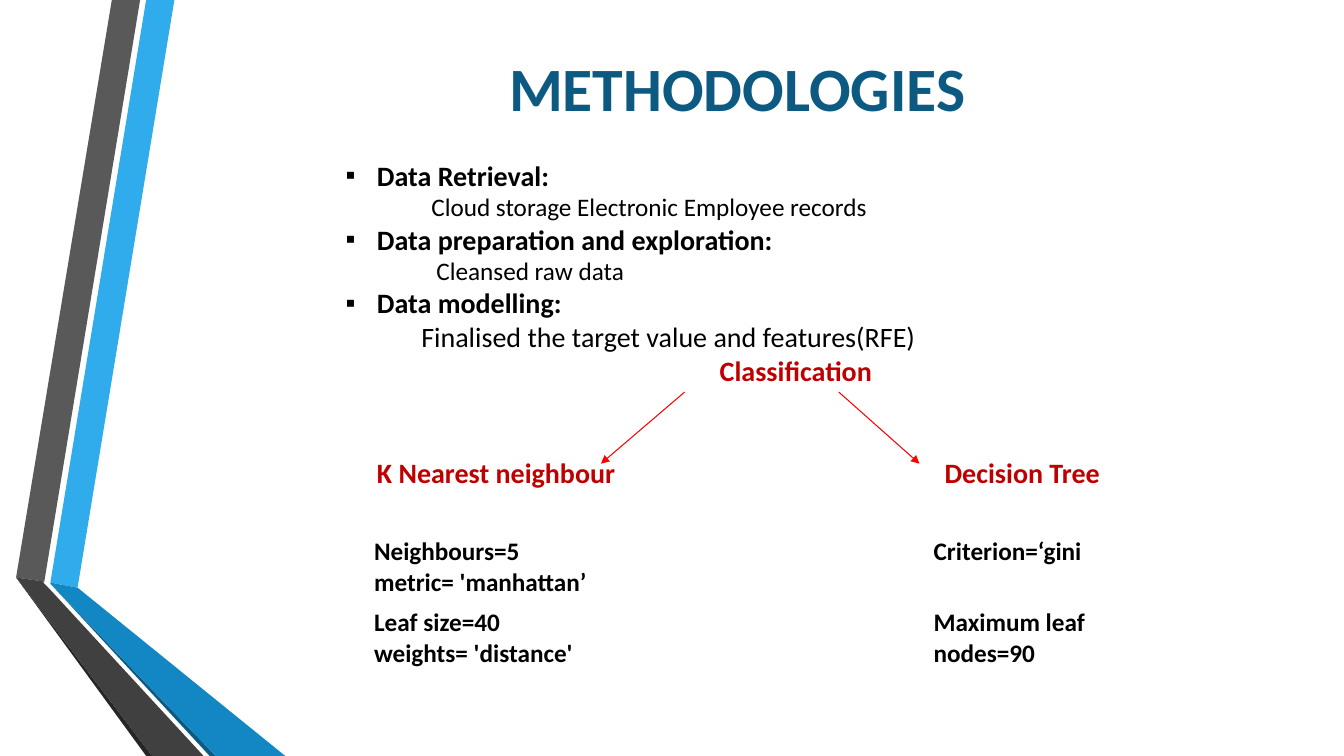
import pptx
import pptx.util
import pptx.dml.color
import pptx.enum.shapes
import pptx.oxml.ns
from lxml import etree

Inches = pptx.util.Inches
Pt = pptx.util.Pt
qn = pptx.oxml.ns.qn

COLORS = {
    "title": "0C5A82",
    "body": "000000",
    "model": "C00000",
    "arrow": "FF0000",
    "sky": "30ACEC",
    "blue": "1287C3",
    "navy": "0C5A82",
    "grey": "595959",
    "charcoal": "404040",
    "black": "262626",
}

RIBBONS = [
    ("sky", [(0.5, 5.78), (0.77, 5.83), (1.73, 0), (1.45, 0)]),
    ("grey", [(1.39, 0), (1.11, 0), (0.16, 5.73), (0.44, 5.77)]),
    ("black", [(0.16, 5.73), (1.45, 7.5), (1.51, 7.5)]),
    ("navy", [(0.5, 5.79), (2.08, 7.5), (2.14, 7.5)]),
    ("blue", [(0.5, 5.79), (2.14, 7.5), (2.83, 7.5), (0.77, 5.83), (0.5, 5.78)]),
    ("charcoal", [(2.02, 7.5), (0.48, 5.83), (0.43, 5.78), (0.44, 5.77),
                  (0.16, 5.73), (1.51, 7.5)]),
]

STEPS = [
    ("Data Retrieval:", dict(bold=True, bullet="▪")),
    ("Cloud storage Electronic Employee records", dict(size=18, indent=0.85)),
    ("Data preparation and exploration:", dict(bold=True, bullet="▪")),
    ("Cleansed raw data", dict(size=18, indent=0.9)),
    ("Data modelling:", dict(bold=True, bullet="▪")),
    ("Finalised the target value and features(RFE)", dict(indent=0.75)),
    ("Classification", dict(bold=True, color="model", indent=3.71)),
]

PARAMETERS = [
    (["Neighbours=5", "metric= 'manhattan’"], ["Criterion=‘gini"]),
    (["Leaf size=40", "weights= 'distance'"], ["Maximum leaf nodes=90"]),
]


def rgb(name):
    return pptx.dml.color.RGBColor.from_string(COLORS[name])


def write(frame, text, first=False, size=20, bold=False, color="body",
          indent=0, bullet=None):
    line = frame.paragraphs[0] if first else frame.add_paragraph()
    run = line.add_run()
    run.text = text
    run.font.name = "Calibri"
    run.font.size = Pt(size)
    run.font.bold = bold
    run.font.color.rgb = rgb(color)
    layout = line._p.get_or_add_pPr()
    if bullet:
        layout.set("marL", str(Inches(0.31)))
        layout.set("indent", str(-Inches(0.31)))
        etree.SubElement(layout, qn("a:buFont")).set("typeface", "Arial")
        etree.SubElement(layout, qn("a:buChar")).set("char", bullet)
    elif indent:
        layout.set("marL", str(Inches(indent)))
        layout.set("indent", "0")


def add_text(slide, left, top, width, height, lines):
    frame = slide.shapes.add_textbox(
        Inches(left), Inches(top), Inches(width), Inches(height)).text_frame
    frame.word_wrap = True
    for index, (text, style) in enumerate(lines):
        write(frame, text, first=index == 0, **style)


def add_ribbon(slide, color, points):
    corners = [(Inches(x), Inches(y)) for x, y in points]
    builder = slide.shapes.build_freeform(*corners[0])
    builder.add_line_segments(corners[1:], close=True)
    ribbon = builder.convert_to_shape()
    ribbon.shadow.inherit = False
    ribbon.fill.solid()
    ribbon.fill.fore_color.rgb = rgb(color)
    ribbon.line.fill.background()


def add_arrow(slide, start, end):
    arrow = slide.shapes.add_connector(
        pptx.enum.shapes.MSO_CONNECTOR.STRAIGHT,
        *(Inches(value) for value in (*start, *end)))
    arrow.line.color.rgb = rgb("arrow")
    arrow.line.width = Pt(0.75)
    etree.SubElement(arrow.line._get_or_add_ln(), qn("a:tailEnd")).set("type", "triangle")
    etree.SubElement(arrow._element.spPr, qn("a:effectLst"))


def add_parameters(slide):
    table = slide.shapes.add_table(
        2, 2, Inches(3.61), Inches(5.27), Inches(8.17), Inches(1.42)).table
    table.first_row = False
    table.horz_banding = False
    for column, width in zip(table.columns, (5.55, 2.62)):
        column.width = Inches(width)
    for row, models in enumerate(PARAMETERS):
        table.rows[row].height = Inches(0.71)
        for column, settings in enumerate(models):
            cell = table.cell(row, column)
            cell.fill.background()
            for index, setting in enumerate(settings):
                write(cell.text_frame, setting, first=index == 0, size=18, bold=True)


def main():
    deck = pptx.Presentation()
    deck.slide_width = Inches(13.33)
    deck.slide_height = Inches(7.5)
    slide = deck.slides.add_slide(deck.slide_layouts[6])

    for color, points in RIBBONS:
        add_ribbon(slide, color, points)

    add_text(slide, 4.95, 0.45, 5.82, 0.84,
             [("METHODOLOGIES", dict(size=44, bold=True, color="title"))])
    add_text(slide, 3.33, 1.52, 8.71, 2.4, STEPS)
    for model, left in (("K Nearest neighbour", 3.64), ("Decision Tree", 9.27)):
        add_text(slide, left, 4.47, 2.7, 0.44,
                 [(model, dict(bold=True, color="model"))])

    add_arrow(slide, (6.79, 3.89), (5.96, 4.6))
    add_arrow(slide, (8.32, 3.89), (9.12, 4.6))
    add_parameters(slide)
    deck.save("out.pptx")


if __name__ == "__main__":
    main()
